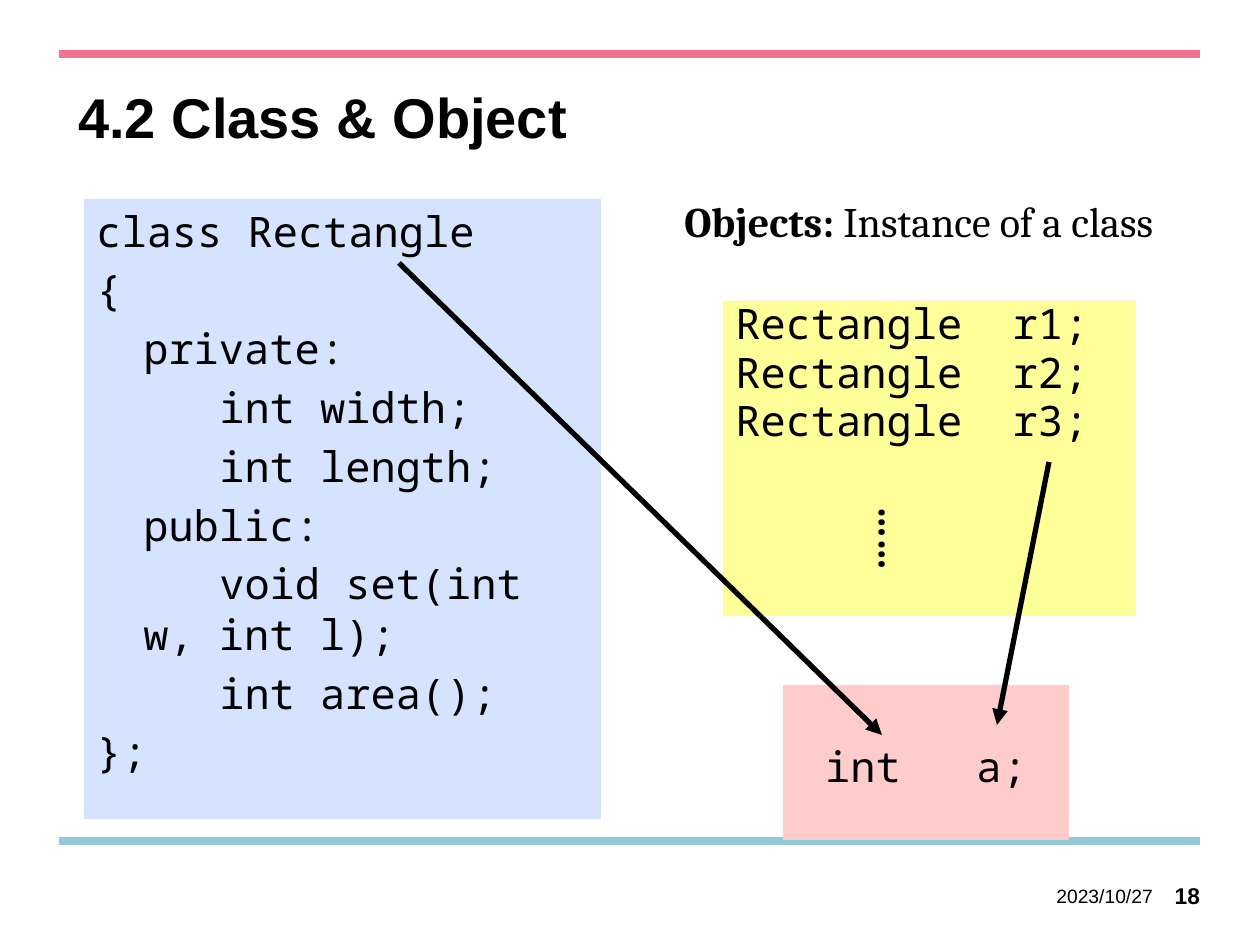
import pptx
import pptx.util
import pptx.dml.color
import pptx.enum.shapes
import pptx.enum.text
import pptx.oxml.ns
import lxml.etree

SCALE = 914400 // 126
COLORS = {
    "pink": "F17391", "teal": "92C9D7", "blue": "D5E3FF",
    "yellow": "FFFF99", "rose": "FFCCCC", "black": "000000",
}
MONO = "Noto Sans Mono"
ALIGN = pptx.enum.text.PP_ALIGN
ANCHOR = pptx.enum.text.MSO_ANCHOR

deck = pptx.Presentation()
deck.slide_width = 1260 * SCALE
deck.slide_height = 945 * SCALE
page = deck.slides.add_slide(deck.slide_layouts[6])


def add_box(left, top, width, height, color=None):
    place = [n * SCALE for n in (left, top, width, height)]
    if color:
        box = page.shapes.add_shape(pptx.enum.shapes.MSO_SHAPE.RECTANGLE, *place)
        box.shadow.inherit = False
        box.fill.solid()
        box.fill.fore_color.rgb = pptx.dml.color.RGBColor.from_string(COLORS[color])
        box.line.fill.background()
    else:
        box = page.shapes.add_textbox(*place)
    box.text_frame.word_wrap = True
    box.text_frame.vertical_anchor = ANCHOR.TOP
    return box


def add_lines(box, lines, font, size, bold=False, align=ALIGN.LEFT):
    frame = box.text_frame
    for index, line in enumerate(lines):
        para = frame.paragraphs[0] if index == 0 else frame.add_paragraph()
        para.text = line
        para.alignment = align
        para.font.name = font
        para.font.size = pptx.util.Pt(size)
        para.font.bold = bold
        para.font.color.rgb = pptx.dml.color.RGBColor.from_string(COLORS["black"])
    return frame.paragraphs


for top, color in ((837, "teal"), (50, "pink")):
    add_box(59, top, 1141, 8, color)

HANG = 47
DEEP = 76
code = [
    ("class Rectangle", -HANG),
    ("{", -HANG),
    ("private:", 0),
    ("int width;", DEEP),
    ("int length;", DEEP),
    ("public:", 0),
    ("void set(int w, int l);", DEEP),
    ("int area();", DEEP),
    ("};", -HANG),
]
class_box = add_box(84, 199, 517, 620, "blue")
paras = add_lines(class_box, [line for line, indent in code], MONO, 24)
for para, (line, indent) in zip(paras, code):
    para.space_before = pptx.util.Pt(4.8)
    properties = para._p.get_or_add_pPr()
    properties.set("marL", str(HANG * SCALE))
    properties.set("indent", str(indent * SCALE))

objects_box = add_box(723, 301, 413, 315, "yellow")
names = [f"Rectangle  r{number};" for number in (1, 2, 3)]
for para in add_lines(objects_box, names, MONO, 24):
    para.line_spacing = 0.8
    para.space_before = pptx.util.Pt(4.8)

dots_box = add_box(851, 494, 76, 116)
add_lines(dots_box, ["……"], "Cambria", 24, bold=True)
dots_box.text_frame._txBody.bodyPr.set("vert", "eaVert")

variable_box = add_box(783, 685, 286, 155, "rose")
variable_box.text_frame.margin_top = 65 * SCALE
add_lines(variable_box, ["int   a;"], MONO, 24, align=ALIGN.CENTER)[0].line_spacing = 0.8

for ends in ((399, 263, 882, 735), (1049, 462, 997, 725)):
    arrow = page.shapes.add_connector(
        pptx.enum.shapes.MSO_CONNECTOR.STRAIGHT, *[n * SCALE for n in ends])
    arrow.line.color.rgb = pptx.dml.color.RGBColor.from_string(COLORS["black"])
    arrow.line.width = pptx.util.Pt(3)
    head = lxml.etree.SubElement(arrow.line._get_or_add_ln(), pptx.oxml.ns.qn("a:tailEnd"))
    head.set("type", "triangle")
    lxml.etree.SubElement(arrow._element.spPr, pptx.oxml.ns.qn("a:effectLst"))

caption = add_box(672, 189, 557, 63)
para = add_lines(caption, ["Objects:"], "Cambria", 24)[0]
para.runs[0].font.bold = True
span = para.add_run()
span.text = " Instance of a class"

title = add_box(66, 84, 1101, 95)
para = add_lines(title, ["4.2 Class & Object"], "Arial", 32, bold=True)[0]
para.line_spacing = pptx.util.Pt(34)

footers = (
    (1032, 121, "2023/10/27", 11, False, 0, ANCHOR.MIDDLE),
    (1150, 50, "18", 13, True, 3, ANCHOR.TOP),
)
for left, width, text, size, bold, inset, anchor in footers:
    footer = add_box(left, 879, width, 34)
    frame = footer.text_frame
    frame.margin_left = frame.margin_right = frame.margin_bottom = 0
    frame.margin_top = inset * SCALE
    frame.vertical_anchor = anchor
    add_lines(footer, [text], "Arial", size, bold, ALIGN.RIGHT)

deck.save("out.pptx")
